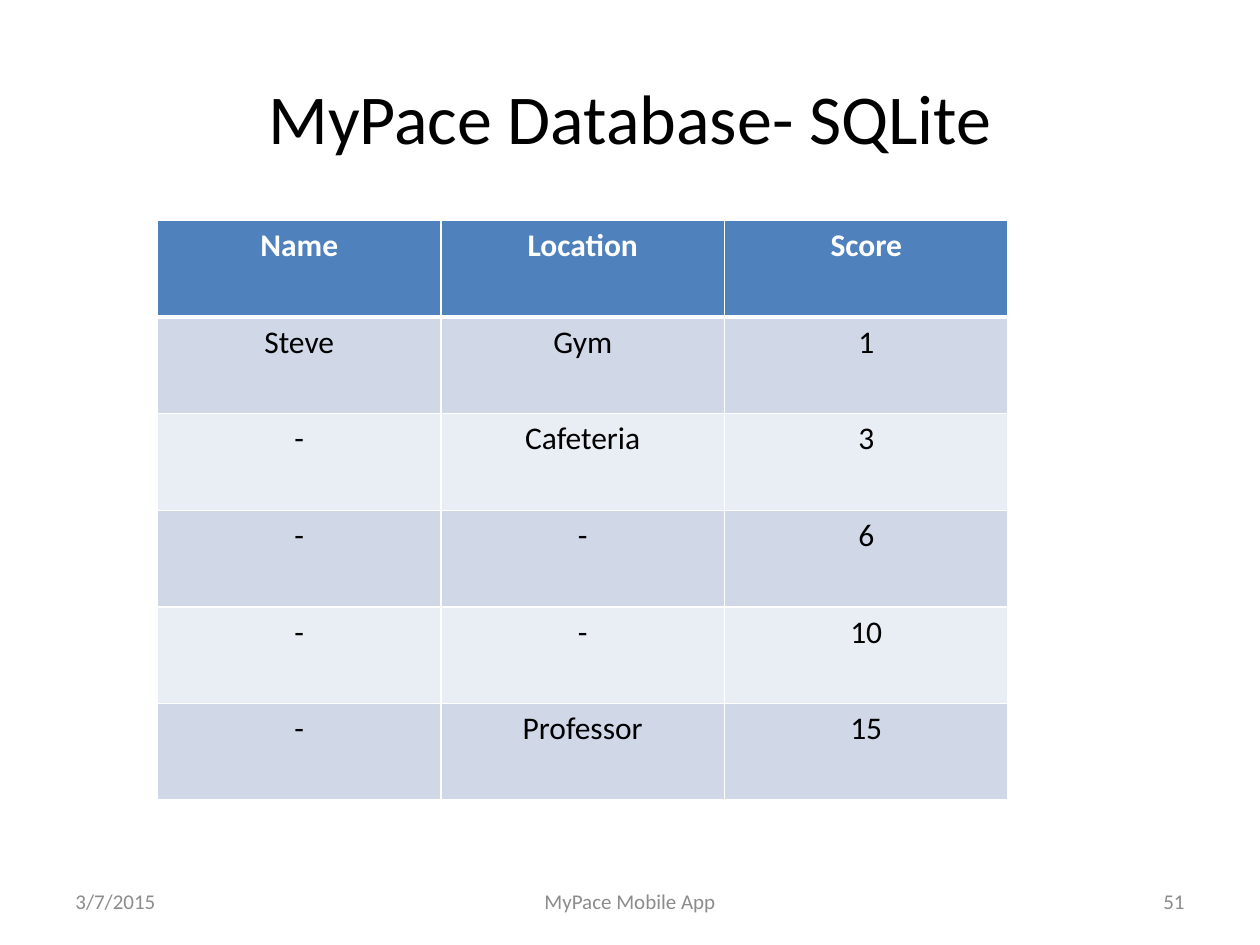
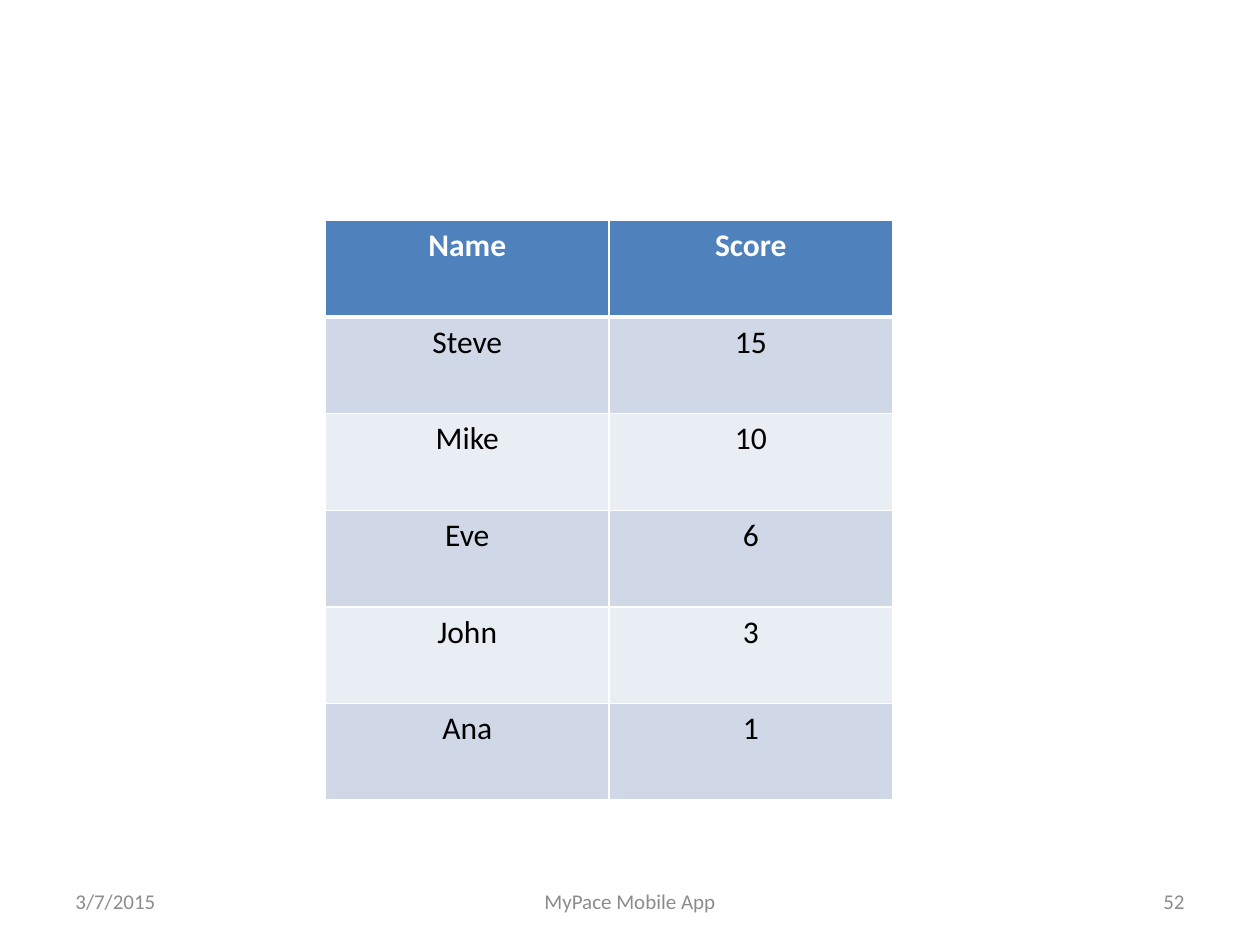
from dataclasses import dataclass

from lxml import etree
from pptx import Presentation
from pptx.dml.color import RGBColor
from pptx.enum.text import MSO_ANCHOR, PP_ALIGN
from pptx.oxml.ns import qn
from pptx.util import Pt

LEFT, MID, RIGHT = PP_ALIGN.LEFT, PP_ALIGN.CENTER, PP_ALIGN.RIGHT
CENTER = MSO_ANCHOR.MIDDLE

DATE = "3/7/2015"
APP = "MyPace Mobile App"

SLIDES = [
    {
        "title": "MyPace Database- SQLite",
        "left": 90,
        "rows": [
            ("Name", "Location", "Score"),
            ("Steve", "Gym", "1"),
            ("-", "Cafeteria", "3"),
            ("-", "-", "6"),
            ("-", "-", "10"),
            ("-", "Professor", "15"),
        ],
        "number": 51,
    },
    {
        "left": 186,
        "rows": [
            ("Name", "Score"),
            ("Steve", "15"),
            ("Mike", "10"),
            ("Eve", "6"),
            ("John", "3"),
            ("Ana", "1"),
        ],
        "number": 52,
    },
]


@dataclass(frozen=True)
class Theme:
    font: str = "Calibri"
    ink: str = "000000"
    paper: str = "FFFFFF"
    head: str = "4F81BD"
    bands: tuple = ("D0D8E8", "E9EDF4")
    grey: str = "8C8C8C"
    title: int = 40
    body: int = 18
    foot: int = 12
    rule: int = 1
    thick: int = 3


THEME = Theme()
WIDTH, HEIGHT, MARGIN = 720, 540, 36
TITLE_BOX = (MARGIN, 21.6, WIDTH - 2 * MARGIN, 90)
TABLE_TOP, COL, ROW = 126, 162, 55.2
FOOT_TOP, FOOT_HIGH, SIDE, MIDDLE = 500.5, 28.75, 168, 228


def write(frame, text, size, color, align, bold=False):
    para = frame.paragraphs[0]
    para.alignment = align
    run = para.add_run()
    run.text = text
    font = run.font
    font.name, font.size, font.bold = THEME.font, Pt(size), bold
    font.color.rgb = RGBColor.from_string(color)


def add_text(slide, box, text, size, color, align):
    frame = slide.shapes.add_textbox(*map(Pt, box)).text_frame
    frame.word_wrap = True
    frame.vertical_anchor = CENTER
    write(frame, text, size, color, align)


def add_rules(cell, row):
    """Draw the cell borders, with a thick rule under the header row."""
    widths = {
        "L": THEME.rule,
        "R": THEME.rule,
        "T": THEME.thick if row == 1 else THEME.rule,
        "B": THEME.thick if row == 0 else THEME.rule,
    }
    props = cell._tc.get_or_add_tcPr()
    for side, width in widths.items():
        line = etree.SubElement(props, qn(f"a:ln{side}"), w=str(Pt(width)))
        fill = etree.SubElement(line, qn("a:solidFill"))
        etree.SubElement(fill, qn("a:srgbClr"), val=THEME.paper)


def add_scores(slide, left, rows):
    count, cols = len(rows), len(rows[0])
    box = (left, TABLE_TOP, cols * COL, count * ROW)
    table = slide.shapes.add_table(count, cols, *map(Pt, box)).table
    for col in table.columns:
        col.width = Pt(COL)
    for r, words in enumerate(rows):
        table.rows[r].height = Pt(ROW)
        head = r == 0
        shade = THEME.head if head else THEME.bands[(r - 1) % 2]
        ink = THEME.paper if head else THEME.ink
        for c, word in enumerate(words):
            cell = table.cell(r, c)
            add_rules(cell, r)
            cell.fill.solid()
            cell.fill.fore_color.rgb = RGBColor.from_string(shade)
            write(cell.text_frame, word, THEME.body, ink, MID, head)


def add_foot(slide, number):
    parts = [
        (MARGIN, SIDE, DATE, LEFT),
        ((WIDTH - MIDDLE) / 2, MIDDLE, APP, MID),
        (WIDTH - MARGIN - SIDE, SIDE, str(number), RIGHT),
    ]
    for left, width, text, align in parts:
        box = (left, FOOT_TOP, width, FOOT_HIGH)
        add_text(slide, box, text, THEME.foot, THEME.grey, align)


def main():
    deck = Presentation()
    deck.slide_width, deck.slide_height = Pt(WIDTH), Pt(HEIGHT)
    blank = deck.slide_layouts[6]
    for page in SLIDES:
        slide = deck.slides.add_slide(blank)
        if "title" in page:
            add_text(slide, TITLE_BOX, page["title"], THEME.title, THEME.ink, MID)
        add_scores(slide, page["left"], page["rows"])
        add_foot(slide, page["number"])
    deck.save("out.pptx")


if __name__ == "__main__":
    main()
